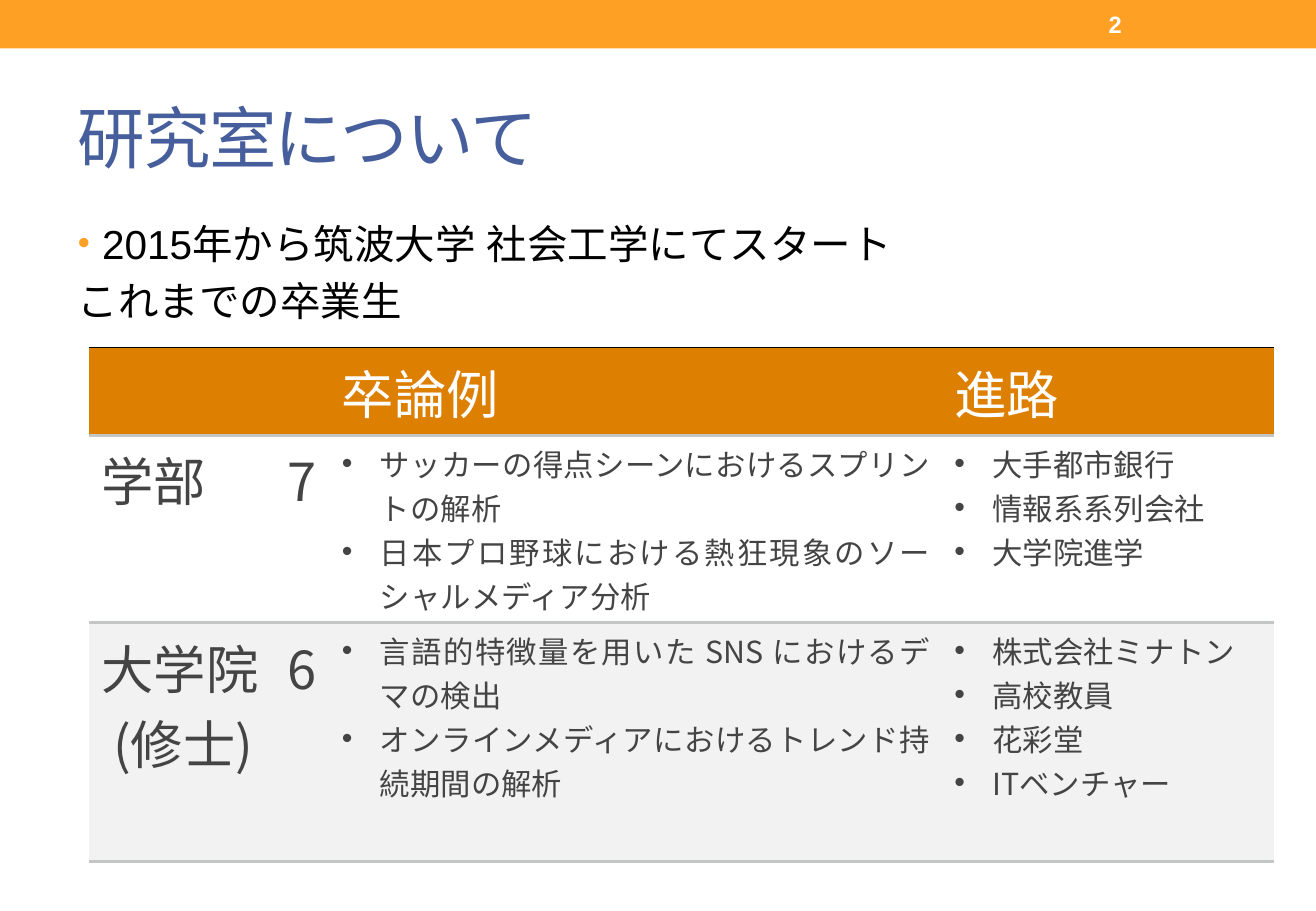
import pptx
import pptx.util
import pptx.dml.color
import pptx.enum.shapes
import pptx.enum.text
import pptx.oxml
import pptx.oxml.ns

Pt = pptx.util.Pt
ALIGN = pptx.enum.text.PP_ALIGN
ANCHOR = pptx.enum.text.MSO_ANCHOR

# Content
TITLE = "研究室について"
PAGE_NUMBER = "2"
START_LINE = "2015年から筑波大学 社会工学にてスタート"
GRADUATES_LINE = "これまでの卒業生"
HEADER = ["", "", "卒論例", "進路"]
GRADUATES = [
    (
        ["学部"],
        "7",
        ["サッカーの得点シーンにおけるスプリントの解析",
         "日本プロ野球における熱狂現象のソーシャルメディア分析"],
        ["大手都市銀行", "情報系系列会社", "大学院進学"],
    ),
    (
        ["大学院", " (修士)"],
        "6",
        ["言語的特徴量を用いた SNS におけるデマの検出",
         "オンラインメディアにおけるトレンド持続期間の解析"],
        ["株式会社ミナトン", "高校教員", "花彩堂", "ITベンチャー"],
    ),
]

# Look
COLORS = {
    "bar": "FDA023", "title": "465E9C", "body": "000000", "white": "FFFFFF",
    "header": "DD7F00", "cell": "444444", "band": "F2F2F2",
    "rule": "C4C6C6", "top_rule": "000000",
}
BODY_FONT, TABLE_FONT = "Arial", "Noto Sans CJK JP"
SLIDE_WIDTH, SLIDE_HEIGHT = 780, 540
COLUMN_WIDTHS = [110, 32.5, 363, 196.5]
ROW_HEIGHTS = [52, 111, 141.5]
LARGE, SMALL = 31, 18


def rgb(name):
    return pptx.dml.color.RGBColor.from_string(COLORS[name])


def element(xml):
    return pptx.oxml.parse_xml(xml.replace(">", " " + pptx.oxml.ns.nsdecls("a") + ">", 1))


def add_bullet(paragraph, indent, color=None, percent=100):
    properties = paragraph._p.get_or_add_pPr()
    properties.set("marL", str(Pt(indent)))
    properties.set("indent", str(-Pt(indent)))
    if color:
        properties.append(element(
            f'<a:buClr><a:srgbClr val="{COLORS[color]}"/></a:buClr>'))
    properties.append(element(f'<a:buSzPct val="{percent * 1000}"></a:buSzPct>'))
    properties.append(element('<a:buFont typeface="Arial"></a:buFont>'))
    properties.append(element('<a:buChar char="•"></a:buChar>'))


def add_run(paragraph, text, size, color, font=BODY_FONT, bold=False):
    run = paragraph.add_run()
    run.text = text
    run.font.size = Pt(size)
    run.font.bold = bold
    run.font.name = font
    run.font.color.rgb = rgb(color)
    run._r.get_or_add_rPr().find(pptx.oxml.ns.qn("a:latin")).addnext(
        element(f'<a:ea typeface="{font}"></a:ea>'))
    return run


def add_text_frame(slide, left, top, width, height, anchor):
    box = slide.shapes.add_textbox(Pt(left), Pt(top), Pt(width), Pt(height))
    box.text_frame.word_wrap = True
    box.text_frame.vertical_anchor = anchor
    return box.text_frame


def set_borders(cell, top_rule):
    sides = [("L", None, 0), ("R", None, 0), ("T", *top_rule), ("B", "rule", 2)]
    for position, (side, color, width) in enumerate(sides):
        paint = (f'<a:solidFill><a:srgbClr val="{COLORS[color]}"/></a:solidFill>'
                 if color else "<a:noFill/>")
        line = element(f'<a:ln{side} w="{Pt(width)}">{paint}</a:ln{side}>')
        cell._tc.get_or_add_tcPr().insert(position, line)


def fill_cell(cell, lines, size, color, fill, align, bullets):
    if fill:
        cell.fill.solid()
        cell.fill.fore_color.rgb = rgb(fill)
    else:
        cell.fill.background()
    for index, line in enumerate(lines):
        frame = cell.text_frame
        paragraph = frame.add_paragraph() if index else frame.paragraphs[0]
        paragraph.alignment = align
        if bullets:
            add_bullet(paragraph, 22.5)
        if line:
            add_run(paragraph, line, size, color, TABLE_FONT)


def add_graduates_table(slide):
    frame = slide.shapes.add_table(
        len(ROW_HEIGHTS), len(COLUMN_WIDTHS), Pt(53), Pt(206),
        Pt(sum(COLUMN_WIDTHS)), Pt(sum(ROW_HEIGHTS)))
    table = frame.table
    table.first_row = table.horz_banding = False
    for column, width in zip(table.columns, COLUMN_WIDTHS):
        column.width = Pt(width)
    for row, height in zip(table.rows, ROW_HEIGHTS):
        row.height = Pt(height)

    for row_index, values in enumerate([HEADER, *GRADUATES]):
        is_header = row_index == 0
        fill = "header" if is_header else (None if row_index % 2 else "band")
        for column_index, value in enumerate(values):
            bullets = not is_header and column_index >= 2
            fill_cell(
                table.cell(row_index, column_index),
                [value] if isinstance(value, str) else value,
                SMALL if bullets else LARGE,
                "white" if is_header else "cell",
                fill,
                ALIGN.JUSTIFY if column_index else ALIGN.LEFT,
                bullets)
            set_borders(table.cell(row_index, column_index),
                        ("top_rule", 1) if is_header else ("rule", 2))


def main():
    presentation = pptx.Presentation()
    presentation.slide_width = Pt(SLIDE_WIDTH)
    presentation.slide_height = Pt(SLIDE_HEIGHT)
    slide = presentation.slides.add_slide(presentation.slide_layouts[6])

    # Top bar
    bar = slide.shapes.add_shape(
        pptx.enum.shapes.MSO_SHAPE.RECTANGLE, 0, 0, Pt(SLIDE_WIDTH), Pt(28.8))
    bar.shadow.inherit = False
    bar.fill.solid()
    bar.fill.fore_color.rgb = rgb("bar")
    bar.line.fill.background()

    # Title
    title = add_text_frame(slide, 39, 42, 702, 78, ANCHOR.MIDDLE)
    run = add_run(title.paragraphs[0], TITLE, 40, "title")
    run._r.get_or_add_rPr().set("spc", "-100")

    # Introduction
    body = add_text_frame(slide, 39, 126, 702, 76, ANCHOR.TOP)
    add_bullet(body.paragraphs[0], 14.4, "bar", 85)
    add_run(body.paragraphs[0], START_LINE, 24, "body")
    paragraph = body.add_paragraph()
    paragraph.space_before = Pt(5.5)
    add_run(paragraph, GRADUATES_LINE, 24, "body")

    # Page number
    number = add_text_frame(slide, 650, 1.5, 91, 26, ANCHOR.MIDDLE)
    add_run(number.paragraphs[0], PAGE_NUMBER, 14, "white", bold=True)

    # Graduates
    add_graduates_table(slide)
    presentation.save("out.pptx")


if __name__ == "__main__":
    main()
